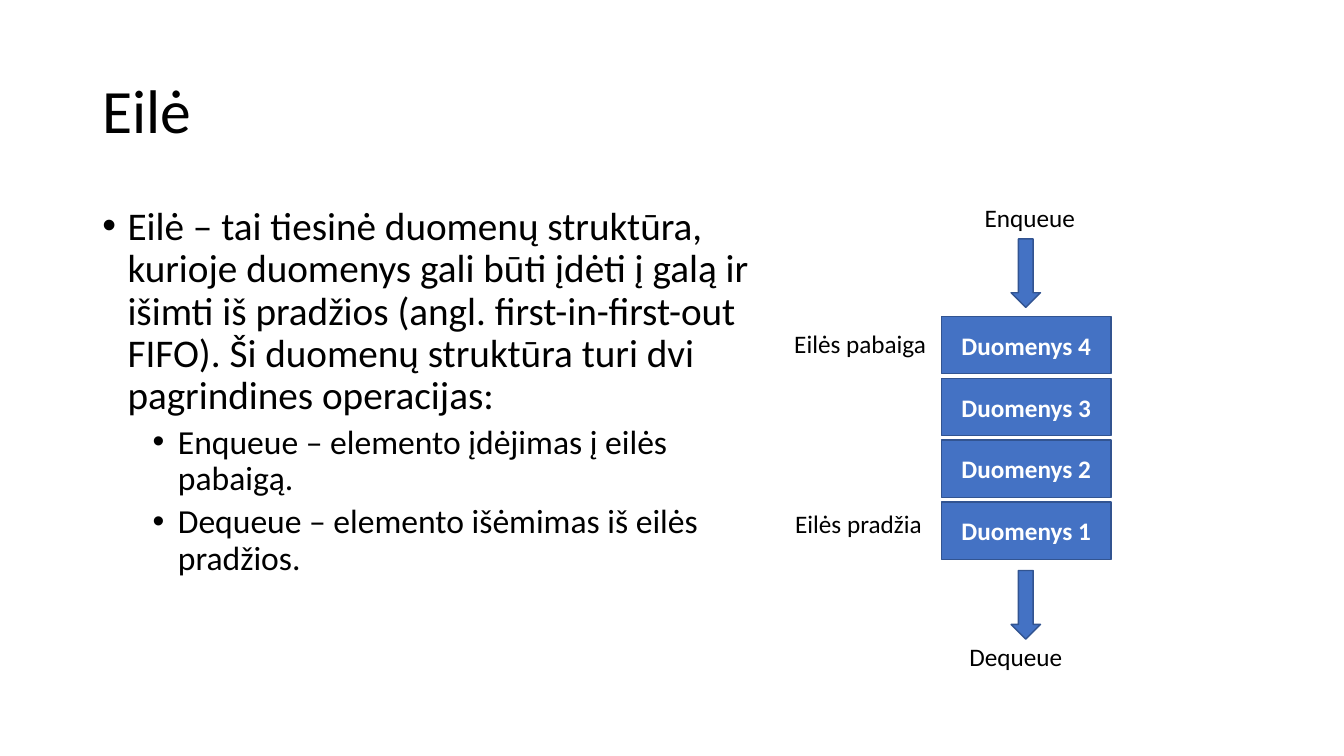
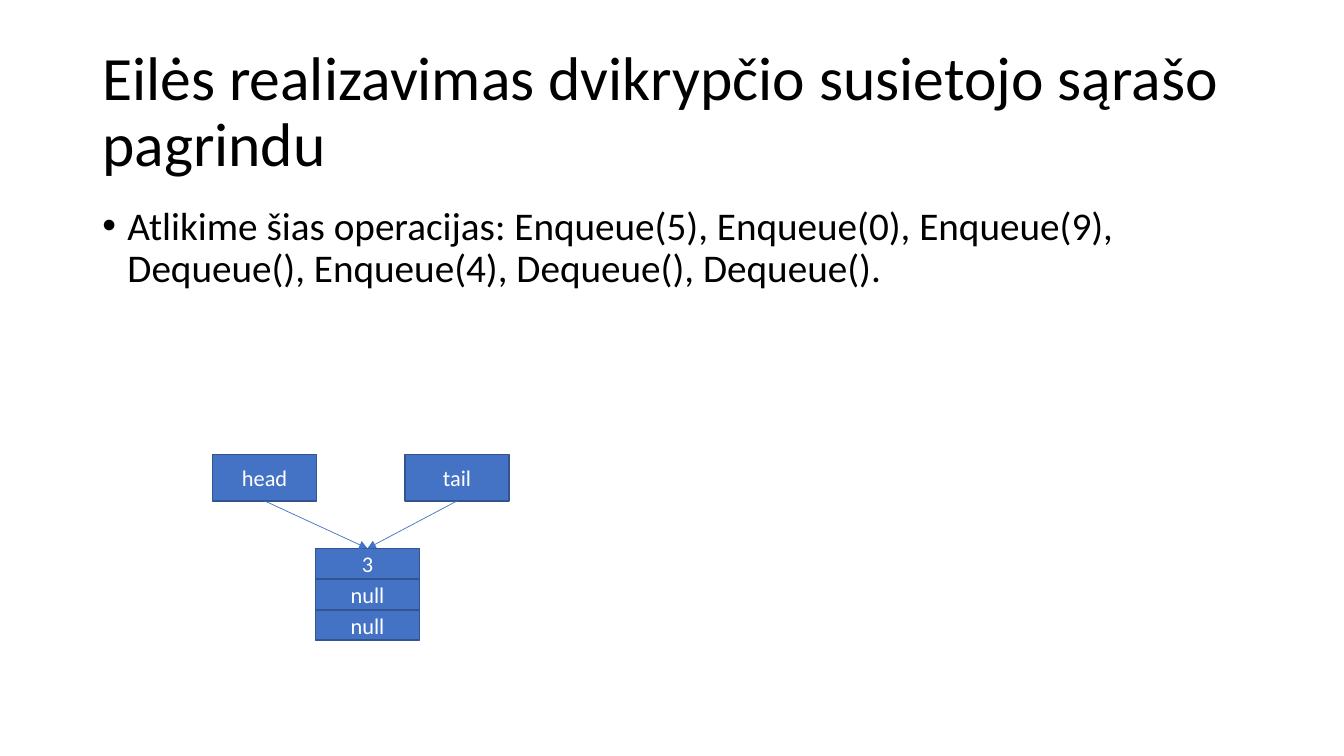
import pptx
import pptx.dml.color
import pptx.enum.shapes
import pptx.enum.text
import pptx.oxml.ns
import pptx.util
from lxml import etree

Pt = pptx.util.Pt
Shape = pptx.enum.shapes.MSO_SHAPE
Anchor = pptx.enum.text.MSO_ANCHOR
qn = pptx.oxml.ns.qn

FONT = "Calibri"
COLORS = {
    name: pptx.dml.color.RGBColor.from_string(value)
    for name, value in {
        "text": "000000",
        "fill": "4472C4",
        "outline": "325491",
        "inverse": "FFFFFF",
    }.items()
}
# Per bullet level: font size, space before, left indent
LEVELS = [(28, 10, 18), (24, 5, 54)]
HANGING = 18


def add_text(page, bounds, lines, size, anchor=Anchor.TOP):
    box = page.shapes.add_textbox(*map(Pt, bounds))
    frame = box.text_frame
    frame.word_wrap = True
    frame.vertical_anchor = anchor
    for index, line in enumerate(lines):
        para = frame.paragraphs[0] if index == 0 else frame.add_paragraph()
        para.text = line
        para.font.name = FONT
        para.font.size = Pt(size)
        para.font.color.rgb = COLORS["text"]
    return frame.paragraphs


def add_block(page, kind, bounds, label="", size=18, bold=False):
    """Add a blue outlined shape with a centred white label."""
    block = page.shapes.add_shape(kind, *map(Pt, bounds))
    block.shadow.inherit = False
    block.fill.solid()
    block.fill.fore_color.rgb = COLORS["fill"]
    block.line.color.rgb = COLORS["outline"]
    block.line.width = Pt(1)
    if label:
        block.text_frame.vertical_anchor = Anchor.MIDDLE
        para = block.text_frame.paragraphs[0]
        para.text = label
        para.alignment = pptx.enum.text.PP_ALIGN.CENTER
        para.font.name = FONT
        para.font.size = Pt(size)
        para.font.bold = bold
        para.font.color.rgb = COLORS["inverse"]
    return block


deck = pptx.Presentation()
deck.slide_width = Pt(960)
deck.slide_height = Pt(540)

# Titles and bullets: title, body width, body height, (level, text) items
contents = [
    ("Eilė", 494, 342.7, [
        (0, "Eilė – tai tiesinė duomenų struktūra, kurioje duomenys gali būti "
            "įdėti į galą ir išimti iš pradžios (angl. first-in-first-out "
            "FIFO). Ši duomenų struktūra turi dvi pagrindines operacijas:"),
        (1, "Enqueue – elemento įdėjimas į eilės pabaigą."),
        (1, "Dequeue – elemento išėmimas iš eilės pradžios."),
    ]),
    ("Eilės realizavimas dvikrypčio susietojo sąrašo pagrindu", 786, 187.2, [
        (0, "Atlikime šias operacijas: Enqueue(5), Enqueue(0), Enqueue(9), "
            "Dequeue(), Enqueue(4), Dequeue(), Dequeue()."),
    ]),
]
pages = []
for title, width, height, items in contents:
    page = deck.slides.add_slide(deck.slide_layouts[6])
    pages.append(page)
    heading = add_text(page, (66, 28.8, 828, 104.4), [title], 44, Anchor.MIDDLE)
    heading[0].line_spacing = 0.9
    paras = add_text(page, (66, 144, width, height), [text for _, text in items], 28)
    for para, (level, _) in zip(paras, items):
        size, space, indent = LEVELS[level]
        para.level = level
        para.font.size = Pt(size)
        para.line_spacing = 0.9
        para.space_before = Pt(space)
        properties = para._p.get_or_add_pPr()
        properties.set("marL", str(Pt(indent)))
        properties.set("indent", str(Pt(-HANGING)))
        etree.SubElement(properties, qn("a:buFont"), typeface="Arial")
        etree.SubElement(properties, qn("a:buChar"), char="•")

queue_page, list_page = pages

# Queue diagram
for row in range(4):
    add_block(queue_page, Shape.RECTANGLE, (672.5, 226 + 44.2 * row, 121, 41),
              f"Duomenys {4 - row}", bold=True)
for top in (170.6, 407.5):
    add_block(queue_page, Shape.DOWN_ARROW, (722.2, top, 21, 49))
for label, left, top, width in [
    ("Enqueue", 696.2, 141.1, 97.2),
    ("Eilės pabaiga", 560.2, 231.1, 121),
    ("Eilės pradžia", 560.9, 359.3, 121),
    ("Dequeue", 685.4, 454.3, 95),
]:
    add_text(queue_page, (left, top, width, 28.8), [label], 18)

# Linked list with a single node
node_fields = [
    add_block(list_page, Shape.RECTANGLE, (225.4, 391.7 + 22 * row, 74.2, 21.6), label, 16)
    for row, label in enumerate(["3", "null", "null"])
]
for label, left in [("head", 151.9), ("tail", 289.4)]:
    pointer = add_block(list_page, Shape.RECTANGLE, (left, 324.7, 74.2, 33.1), label, 16)
    arrow = list_page.shapes.add_connector(
        pptx.enum.shapes.MSO_CONNECTOR.STRAIGHT, 0, 0, 0, 0)
    arrow.begin_connect(pointer, 2)
    arrow.end_connect(node_fields[0], 0)
    arrow.line.color.rgb = COLORS["fill"]
    arrow.line.width = Pt(0.5)
    etree.SubElement(arrow.line._get_or_add_ln(), qn("a:tailEnd"), type="triangle")
    etree.SubElement(arrow._element.spPr, qn("a:effectLst"))

deck.save("out.pptx")
